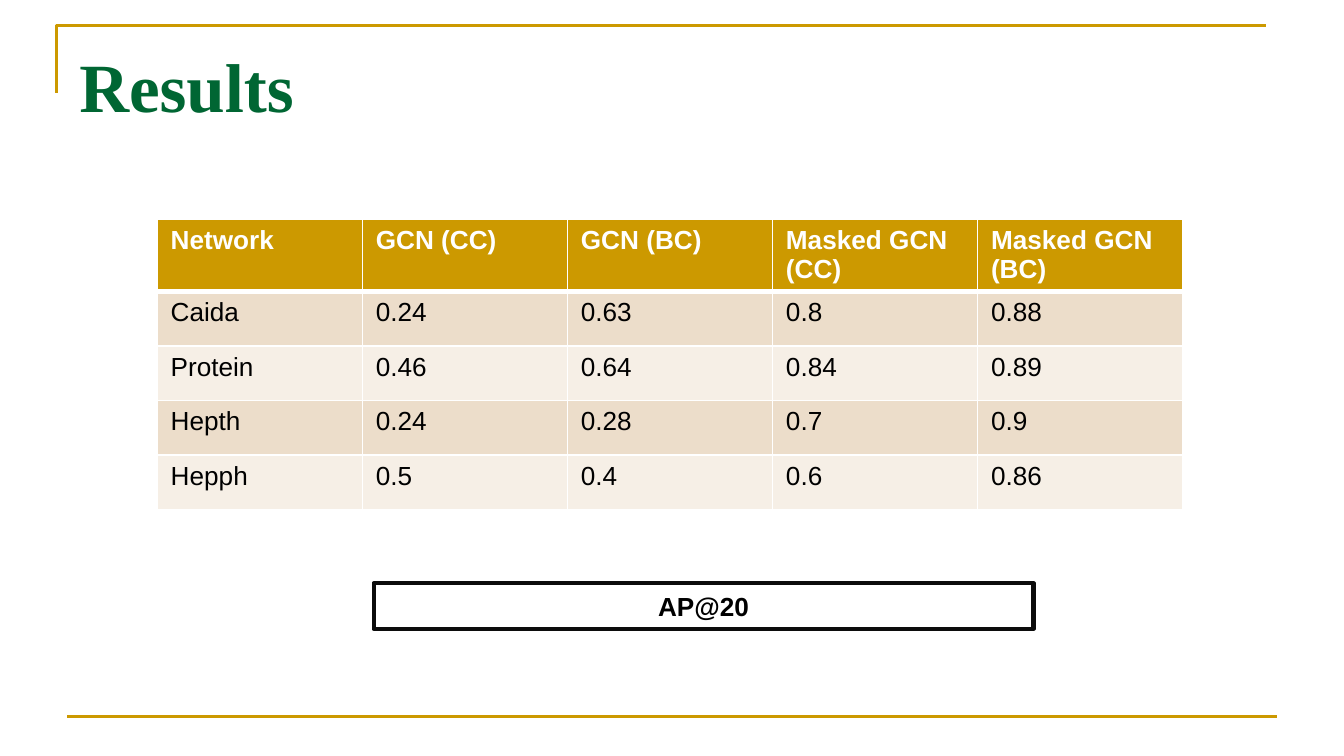
from pptx import Presentation
from pptx.dml.color import RGBColor
from pptx.enum.shapes import MSO_CONNECTOR, MSO_SHAPE
from pptx.enum.text import MSO_ANCHOR, MSO_AUTO_SIZE, PP_ALIGN
from pptx.util import Inches, Pt
from lxml.etree import SubElement
from pptx.oxml.ns import qn


def color(text):
    return RGBColor.from_string(text)


def write(para, text, size, font, hue, bold):
    run = para.add_run()
    run.text = text
    run.font.size = Pt(size)
    run.font.name = font
    run.font.bold = bold
    run.font.color.rgb = color(hue)


deck = Presentation()
deck.slide_width = Inches(10)
deck.slide_height = Inches(10) * 9 // 16
slide = deck.slides.add_slide(deck.slide_layouts[5])
shapes = slide.shapes

pen = shapes.build_freeform(Inches(0.42), Inches(0.69))
pen.add_line_segments(
    [(Inches(0.42), Inches(0.19)), (Inches(9.42), Inches(0.19))], close=False
)
frame = pen.convert_to_shape()
frame.shadow.inherit = False
frame.fill.background()
rule = shapes.add_connector(
    MSO_CONNECTOR.STRAIGHT, Inches(0.5), Inches(5.33), Inches(9.5), Inches(5.33)
)
SubElement(rule._element.spPr, qn("a:effectLst"))
for item in (frame, rule):
    item.line.color.rgb = color("CC9900")
    item.line.width = Pt(1.5)

title = shapes.title
title.left, title.top = Inches(0.5), Inches(0.23)
title.width, title.height = Inches(9), Inches(0.53)
body = title.text_frame
body.auto_size = MSO_AUTO_SIZE.NONE
body.vertical_anchor = MSO_ANCHOR.TOP
body.margin_left = body.margin_right = Inches(0.09)
body.margin_top = body.margin_bottom = Inches(0.09)
body.paragraphs[0].alignment = PP_ALIGN.LEFT
write(body.paragraphs[0], "Results", 37, "Times New Roman", "006633", True)

rows = [
    ["Network", "GCN (CC)", "GCN (BC)", "Masked GCN (CC)", "Masked GCN (BC)"],
    ["Caida", "0.24", "0.63", "0.8", "0.88"],
    ["Protein", "0.46", "0.64", "0.84", "0.89"],
    ["Hepth", "0.24", "0.28", "0.7", "0.9"],
    ["Hepph", "0.5", "0.4", "0.6", "0.86"],
]
grid = shapes.add_table(
    5, 5, Inches(1.17), Inches(1.63), Inches(7.63), Inches(2.03)
)
table = grid.table
for r, row in enumerate(rows):
    head = r == 0
    fill = "CC9900" if head else ("F6EFE6", "ECDDCA")[r % 2]
    for c, text in enumerate(row):
        cell = table.cell(r, c)
        props = cell._tc.get_or_add_tcPr()
        for side in "LRTB":
            thick = (head and side == "B") or (r == 1 and side == "T")
            edge = SubElement(props, qn("a:ln" + side), w=str(Pt(3 if thick else 1)))
            paint = SubElement(edge, qn("a:solidFill"))
            SubElement(paint, qn("a:srgbClr"), val="FFFFFF")
        cell.fill.solid()
        cell.fill.fore_color.rgb = color(fill)
        hue = "FFFFFF" if head else "000000"
        write(cell.text_frame.paragraphs[0], text, 14, "Arial", hue, head)
grid.height = Inches(2.19)

label = shapes.add_shape(
    MSO_SHAPE.RECTANGLE, Inches(2.78), Inches(4.34), Inches(4.91), Inches(0.34)
)
label.shadow.inherit = False
label.fill.background()
label.line.color.rgb = color("0C0C0C")
label.line.width = Pt(2.25)
label.text_frame.word_wrap = True
label.text_frame.auto_size = MSO_AUTO_SIZE.SHAPE_TO_FIT_TEXT
para = label.text_frame.paragraphs[0]
para.alignment = PP_ALIGN.CENTER
write(para, "AP@20", 14, "Arial", "000000", True)

deck.save("out.pptx")
